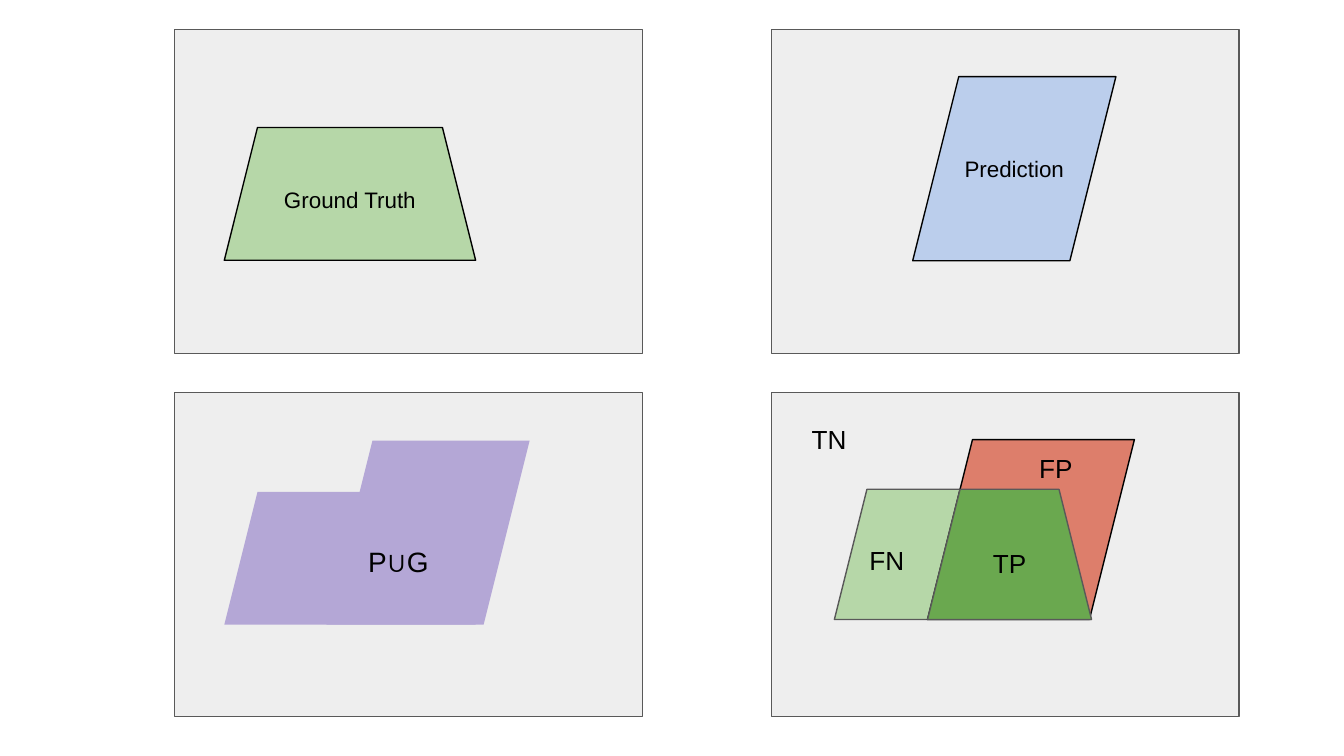
from lxml import etree
from pptx import Presentation
from pptx import util as u
from pptx.dml.color import RGBColor
from pptx.enum import shapes, text
from pptx.oxml.ns import qn

COLORS = {
    "panel": "EEEEEE", "grey": "595959", "black": "000000",
    "truth": "B6D7A8", "prediction": "6D9EEB", "union": "B4A7D6",
    "false_positive": "DD7E6B", "true_positive": "6AA84F",
}
KIND = shapes.MSO_SHAPE
CENTER, LEFT = text.PP_ALIGN.CENTER, text.PP_ALIGN.LEFT
TOP, MIDDLE = text.MSO_ANCHOR.TOP, text.MSO_ANCHOR.MIDDLE

# All lengths are in centimetres
PANEL_SIZE = (8.84, 6.12)
COLUMNS, ROWS = (3.3, 14.58), (0.56, 7.42)
TRUTH_SIZE, PREDICTION_SIZE = (4.75, 2.51), (3.84, 3.48)


class Diagram:
    """Draws on one slide, with offsets taken from the current panel."""

    def __init__(self, slide, font="Arial", line_width=0.75, inset=0.25):
        self.slide, self.font = slide, font
        self.line_width, self.inset = line_width, inset
        self.origin = (0, 0)

    def box(self, offset, size):
        left, top = (o + d for o, d in zip(self.origin, offset))
        return [u.Cm(v) for v in (left, top, *size)]

    def panel(self, column, row):
        self.origin = (COLUMNS[column], ROWS[row])
        self.shape(KIND.RECTANGLE, (0, 0), PANEL_SIZE, "panel", "grey")

    def shape(self, kind, offset, size, fill, line=None, opacity=None):
        shape = self.slide.shapes.add_shape(kind, *self.box(offset, size))
        shape.shadow.inherit = False
        shape.fill.solid()
        shape.fill.fore_color.rgb = RGBColor.from_string(COLORS[fill])
        if opacity is not None:
            color = shape._element.spPr.find(qn("a:solidFill"))[0]
            etree.SubElement(color, qn("a:alpha"), val=str(opacity * 1000))
        if line:
            shape.line.color.rgb = RGBColor.from_string(COLORS[line])
            shape.line.width = u.Pt(self.line_width)
        else:
            shape.line.fill.background()
        return shape

    def caption(self, shape, words, size, align=CENTER, anchor=MIDDLE):
        frame = shape.text_frame
        frame.word_wrap = True
        frame.vertical_anchor = anchor
        frame.margin_left = frame.margin_right = u.Cm(self.inset)
        frame.margin_top = frame.margin_bottom = u.Cm(self.inset)
        paragraph = frame.paragraphs[0]
        paragraph.text = words
        paragraph.alignment = align
        paragraph.font.name = self.font
        paragraph.font.size = u.Pt(size)
        paragraph.font.color.rgb = RGBColor.from_string(COLORS["black"])

    def label(self, words, offset, box_size, size=14, align=CENTER):
        region = self.slide.shapes.add_textbox(*self.box(offset, box_size))
        self.caption(region, words, size, align, TOP)


def main():
    deck = Presentation()
    deck.slide_width, deck.slide_height = u.Cm(25.4), u.Cm(14.29)
    diagram = Diagram(deck.slides.add_slide(deck.slide_layouts[6]))

    diagram.panel(0, 0)
    truth = diagram.shape(KIND.TRAPEZOID, (0.94, 1.85), TRUTH_SIZE, "truth", "black")
    diagram.caption(truth, "Ground Truth", 12)

    diagram.panel(1, 0)
    prediction = diagram.shape(KIND.PARALLELOGRAM, (2.67, 0.89), PREDICTION_SIZE,
                               "prediction", "black", opacity=39)
    diagram.caption(prediction, "Prediction", 12)

    diagram.panel(0, 1)
    diagram.shape(KIND.TRAPEZOID, (0.94, 1.88), TRUTH_SIZE, "union")
    diagram.shape(KIND.PARALLELOGRAM, (2.87, 0.91), PREDICTION_SIZE, "union")
    diagram.label("P∪G", (3.15, 2.62), (2.16, 0.91), size=15)

    diagram.panel(1, 1)
    false_negative = diagram.shape(KIND.TRAPEZOID, (1.19, 1.83), (4.85, 2.46),
                                   "truth", "grey")
    diagram.caption(false_negative, "FN", 14, LEFT)
    diagram.shape(KIND.PARALLELOGRAM, (2.95, 0.89), (3.91, 3.4),
                  "false_positive", "black")
    true_positive = diagram.shape(KIND.TRAPEZOID, (2.95, 1.83), (3.1, 2.46),
                                  "true_positive", "grey")
    diagram.caption(true_positive, "TP", 14)
    diagram.label("FP", (3.89, 0.89), (2.97, 0.91))
    diagram.label("TN", (0.51, 0.33), (2.16, 2.06), align=LEFT)

    deck.save("out.pptx")


if __name__ == "__main__":
    main()
